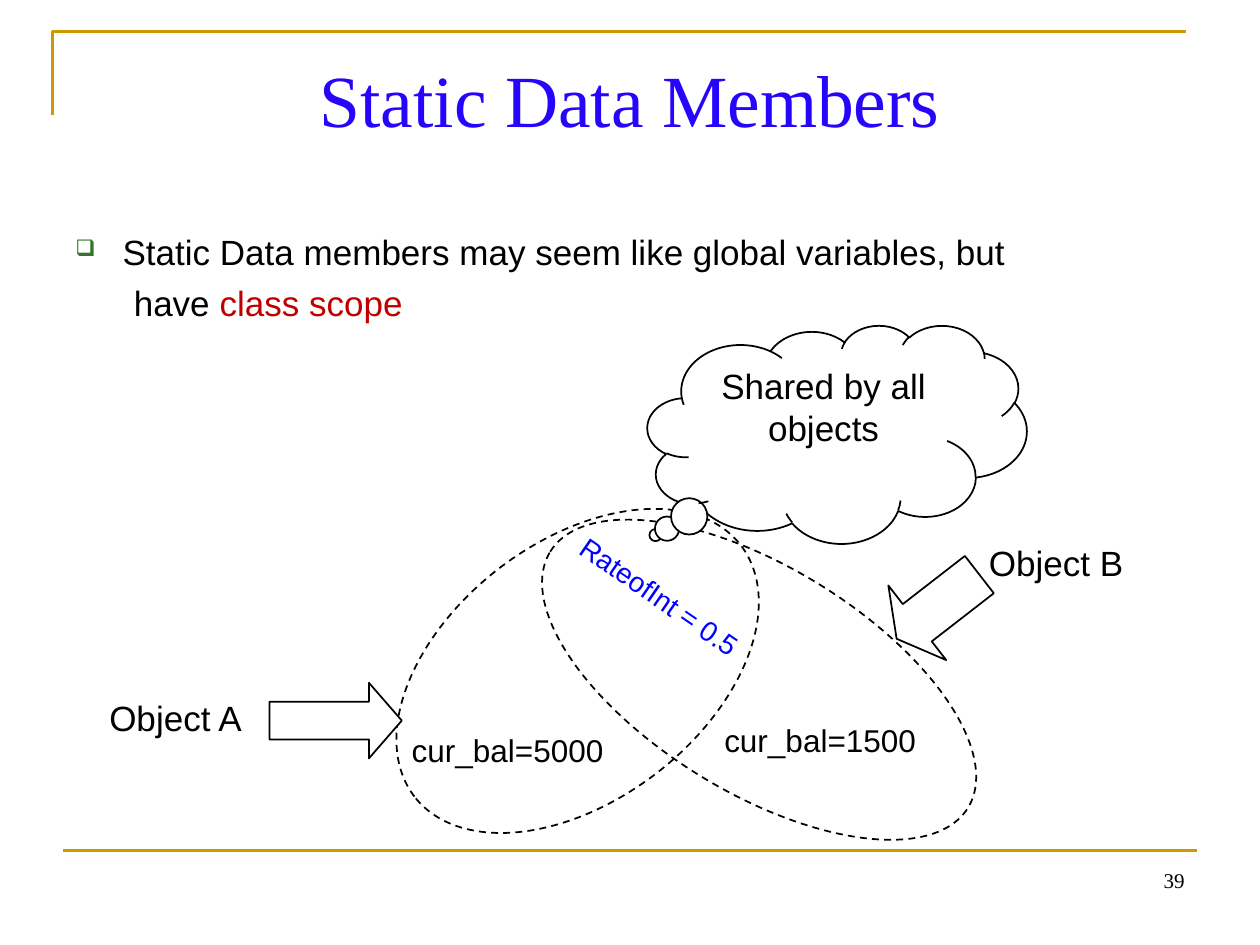
import pptx
import pptx.dml.color
import pptx.enum.dml
import pptx.enum.shapes
import pptx.enum.text
import pptx.oxml.ns
import pptx.util
from lxml import etree

Pt = pptx.util.Pt
SHAPE = pptx.enum.shapes.MSO_SHAPE
ALIGN = pptx.enum.text.PP_ALIGN
COLORS = {
    "gold": "CC9900", "title": "2704FC", "bullet": "35742A", "scope": "C00000",
    "shared": "0000FF", "black": "000000", "white": "FFFFFF",
}


def color(name):
    return pptx.dml.color.RGBColor.from_string(COLORS[name])


def add_text(bounds, text, size, ink="black", font="Arial", align=ALIGN.LEFT):
    box = page.shapes.add_textbox(*map(Pt, bounds))
    box.text_frame.word_wrap = True
    box.text_frame.text = text
    for para in box.text_frame.paragraphs:
        para.alignment = align
        for span in para.runs:
            span.font.size = Pt(size)
            span.font.name = font
            span.font.color.rgb = color(ink)
    return box


def add_outlined(kind, bounds, rotation=0, adjustments=(), filled=True, dashed=False):
    shape = page.shapes.add_shape(kind, *map(Pt, bounds))
    shape.shadow.inherit = False
    shape.rotation = rotation
    for index, value in enumerate(adjustments):
        shape.adjustments[index] = value
    if filled:
        shape.fill.solid()
        shape.fill.fore_color.rgb = color("white")
    else:
        shape.fill.background()
    shape.line.color.rgb = color("black")
    shape.line.width = Pt(1)
    if dashed:
        shape.line.dash_style = pptx.enum.dml.MSO_LINE.DASH
    return shape


deck = pptx.Presentation()
deck.slide_width, deck.slide_height = Pt(720), Pt(540)
page = deck.slides.add_slide(deck.slide_layouts[6])

# Gold frame: corner at the top, rule at the bottom
builder = page.shapes.build_freeform(Pt(30), Pt(66))
builder.add_line_segments([(Pt(30), Pt(18)), (Pt(678), Pt(18))], close=False)
corner = builder.convert_to_shape()
corner.shadow.inherit = False
corner.fill.background()
rule = page.shapes.add_connector(
    pptx.enum.shapes.MSO_CONNECTOR.STRAIGHT, Pt(36), Pt(486), Pt(684), Pt(486))
etree.SubElement(rule._element.spPr, pptx.oxml.ns.qn("a:effectLst"))
for edge in (corner, rule):
    edge.line.color.rgb = color("gold")
    edge.line.width = Pt(1.5)

# Title and page number
title = add_text((36, 21.6, 648, 90), "Static Data Members", 42, "title",
                 "Times New Roman", ALIGN.CENTER)
title.text_frame.margin_top = Pt(9)
add_text((516, 492, 168, 37), "39", 12, font="Times New Roman", align=ALIGN.RIGHT)

# Bulleted statement and its continuation line
body = add_text((36, 126, 648, 356),
                "Static Data members may seem like global variables, but\nhave ", 20)
body.text_frame.margin_top = Pt(5.6)
first, second = body.text_frame.paragraphs
props = first._p.get_or_add_pPr()
props.set("marL", str(Pt(27)))
props.set("indent", str(-Pt(27)))
bullet_color = etree.SubElement(props, pptx.oxml.ns.qn("a:buClr"))
etree.SubElement(bullet_color, pptx.oxml.ns.qn("a:srgbClr"), val=COLORS["bullet"])
etree.SubElement(props, pptx.oxml.ns.qn("a:buSzPct"), val="65000")
etree.SubElement(props, pptx.oxml.ns.qn("a:buChar"), char="❑")
second._p.get_or_add_pPr().set("marL", str(Pt(33.4)))
second.space_before = Pt(5)
scope = second.add_run()
scope.text = "class scope"
scope.font.size = Pt(20)
scope.font.name = "Arial"
scope.font.color.rgb = color("scope")

# Object A: ellipse, arrow and labels
add_outlined(SHAPE.OVAL, (212.4, 309.6, 235.4, 147.6), 322.4, dashed=True)
add_text((228.2, 414, 130, 29), "cur_bal=5000", 18)
add_outlined(SHAPE.RIGHT_ARROW, (154, 390.2, 75.6, 43.2), adjustments=(0.5, 0.435))
add_text((55.4, 394.6, 128, 32), "Object A", 20)

# Object B: label, arrow and see-through ellipse
add_text((558, 306, 104.4, 32), "Object B", 20)
add_outlined(SHAPE.DOWN_ARROW, (509, 316.8, 54, 59.8), 52.2, (0.5, 0.276))
add_outlined(SHAPE.OVAL, (293.8, 324, 280, 128.9), 31.5, filled=False, dashed=True)

# Thought cloud pointing at the overlap
cloud = add_outlined(SHAPE.CLOUD_CALLOUT, (370, 185.8, 216.7, 124.6),
                     adjustments=(-0.479, 0.463))
cloud.text_frame.word_wrap = True
cloud.text_frame.vertical_anchor = pptx.enum.text.MSO_ANCHOR.TOP
cloud.text_frame.text = "Shared by all objects"
para = cloud.text_frame.paragraphs[0]
para.alignment = ALIGN.CENTER
para.runs[0].font.size = Pt(20)
para.runs[0].font.name = "Arial"
para.runs[0].font.color.rgb = color("black")

# Shared value and Object B's own value
shared = add_text((316, 331.2, 131.8, 26.6), "RateofInt = 0.5", 16, "shared")
shared.rotation = 34.6
add_text((406.8, 408.2, 151.2, 29), "cur_bal=1500", 18)

deck.save("out.pptx")
